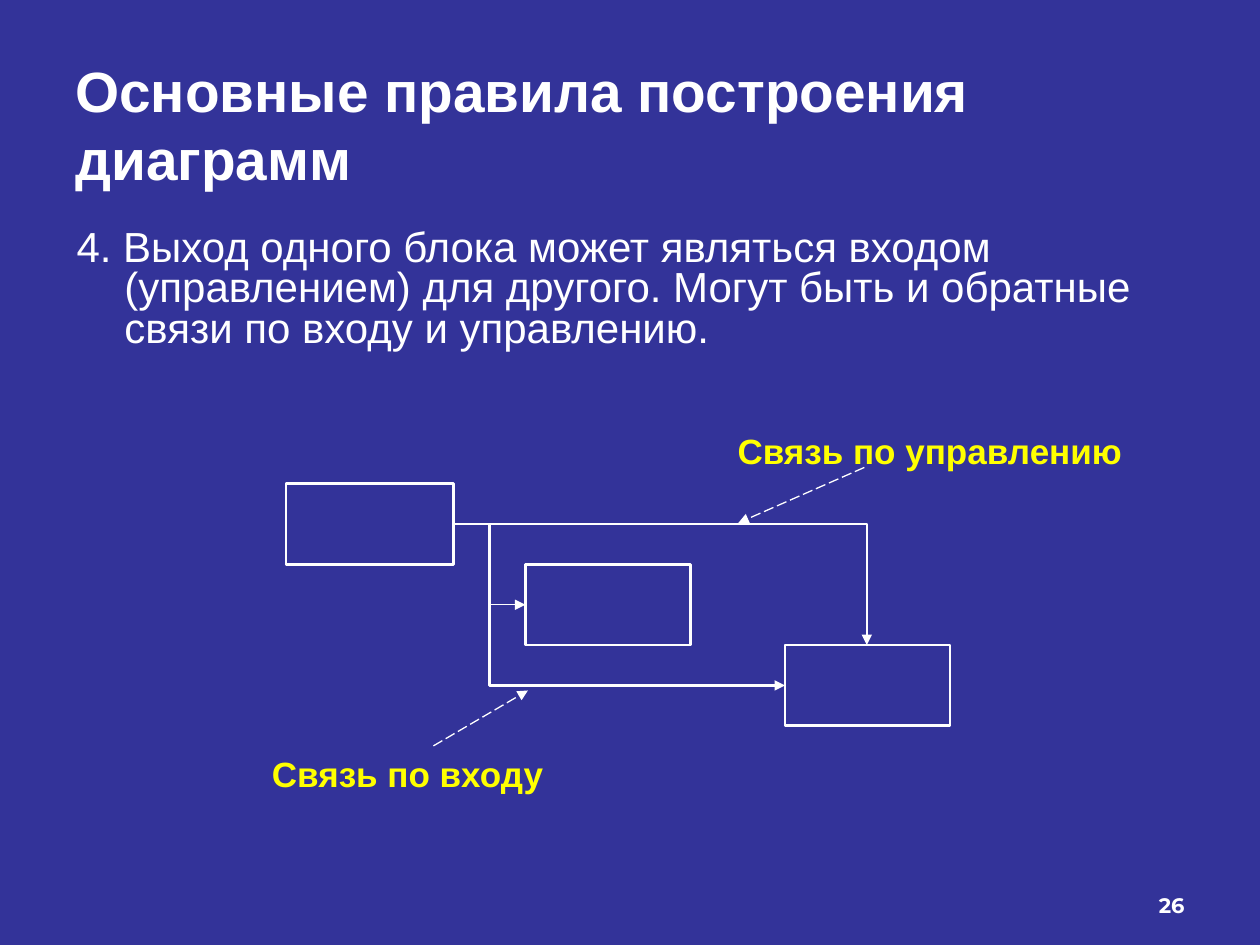
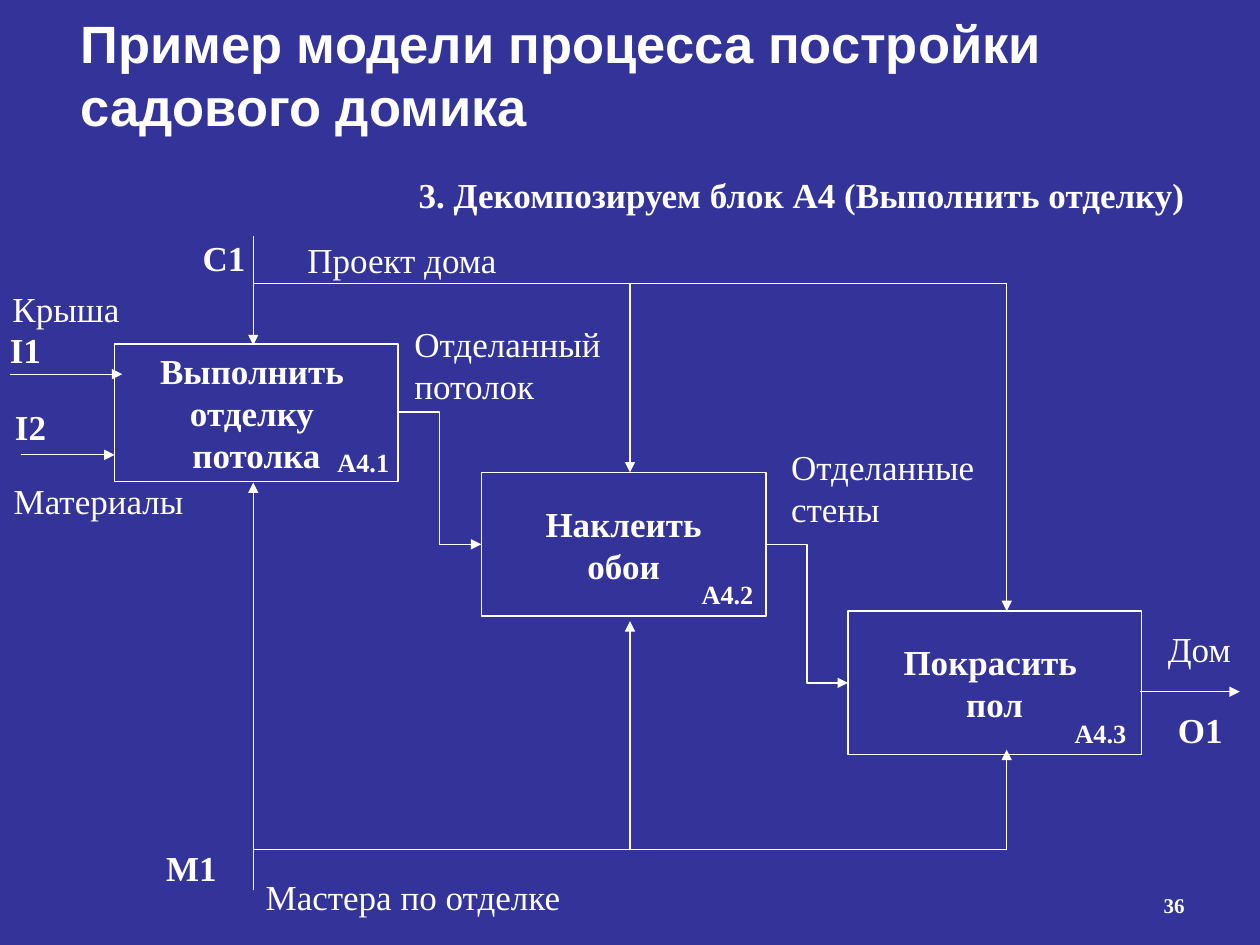
from lxml.etree import SubElement
from pptx import Presentation
from pptx.dml.color import RGBColor
from pptx.enum.dml import MSO_LINE
from pptx.enum.shapes import MSO_CONNECTOR, MSO_SHAPE
from pptx.enum.text import MSO_ANCHOR, PP_ALIGN
from pptx.oxml.ns import qn
from pptx.util import Inches, Pt

COLUMNS, ROWS = 100, 75
BACKGROUND, WHITE, YELLOW = "333399", "FFFFFF", "FFFF00"
SANS, SERIF, NUMBER_FONT = "Arial", "Times New Roman", "Montserrat"


def color(value):
    return RGBColor.from_string(value)


class Deck:
    def __init__(self):
        self.presentation = Presentation()
        self.presentation.slide_width = Inches(10)
        self.presentation.slide_height = Inches(7.5)
        self.column = self.presentation.slide_width / COLUMNS
        self.row = self.presentation.slide_height / ROWS
        self.slide = None
        self.font = SANS

    def place(self, left, top, width, height):
        return (round(left * self.column), round(top * self.row),
                round(width * self.column), round(height * self.row))

    def add_slide(self, font):
        self.font = font
        self.slide = self.presentation.slides.add_slide(self.presentation.slide_layouts[6])
        self.slide.background.fill.solid()
        self.slide.background.fill.fore_color.rgb = color(BACKGROUND)

    def set_text(self, shape, text, size, bold, tint=WHITE, font=None, align=PP_ALIGN.LEFT,
                 anchor=MSO_ANCHOR.TOP, wrap=True, spacing=None):
        frame = shape.text_frame
        frame.word_wrap = wrap
        frame.vertical_anchor = anchor
        frame.text = text
        for paragraph in frame.paragraphs:
            paragraph.alignment = align
            paragraph.line_spacing = spacing
            paragraph.font.name = font or self.font
            paragraph.font.size = Pt(size)
            paragraph.font.bold = bold
            paragraph.font.color.rgb = color(tint)

    def text(self, area, text, size=20, bold=False, **style):
        shape = self.slide.shapes.add_textbox(*self.place(*area))
        self.set_text(shape, text, size, bold, **style)
        return shape

    def title(self, area, text, size):
        self.text(area, text, size, True, font=SANS, anchor=MSO_ANCHOR.MIDDLE)

    def number(self, value, font):
        self.text((71.7, 68.3, 23.3, 5), value, 12, True, font=font,
                  align=PP_ALIGN.RIGHT, anchor=MSO_ANCHOR.BOTTOM)

    def hanging_text(self, area, text, size, indent):
        shape = self.text(area, text, size, spacing=0.8)
        properties = shape.text_frame.paragraphs[0]._p.get_or_add_pPr()
        properties.set("marL", str(round(indent * self.column)))
        properties.set("indent", str(round(-indent * self.column)))

    def box(self, area, width, text=""):
        shape = self.slide.shapes.add_shape(MSO_SHAPE.RECTANGLE, *self.place(*area))
        shape.shadow.inherit = False
        shape.fill.background()
        shape.line.color.rgb = color(WHITE)
        shape.line.width = Pt(width)
        if text:
            self.set_text(shape, text, 20, True, align=PP_ALIGN.CENTER,
                          anchor=MSO_ANCHOR.MIDDLE, wrap=False)

    def line(self, start, end, width=0.75, kind=MSO_CONNECTOR.STRAIGHT, arrow=True, dashed=False):
        connector = self.slide.shapes.add_connector(kind, *self.place(*start, *end))
        connector.line.color.rgb = color(WHITE)
        connector.line.width = Pt(width)
        if dashed:
            connector.line.dash_style = MSO_LINE.LONG_DASH
        properties = connector.element.spPr
        if arrow:
            SubElement(properties.find(qn("a:ln")), qn("a:tailEnd"), type="triangle")
        SubElement(properties, qn("a:effectLst"))
        return connector

    def elbow(self, start, end, width=0.75, bend=0.5):
        connector = self.line(start, end, width, MSO_CONNECTOR.ELBOW)
        geometry = connector.element.spPr.find(qn("a:prstGeom"))
        if bend == 1:
            geometry.set("prst", "bentConnector2")
        else:
            guides = geometry.find(qn("a:avLst"))
            SubElement(guides, qn("a:gd"), name="adj1", fmla=f"val {round(bend * 100000)}")


def build_rules(deck):
    deck.add_slide(SANS)
    deck.title((5, 5, 90, 9.7), "Основные правила построения диаграмм", 32.4)
    deck.hanging_text((5.1, 17.8, 90, 11),
                      "4. Выход одного блока может являться входом (управлением) для другого. "
                      "Могут быть и обратные связи по входу и управлению.", 24, 3.8)
    for left, top, width in [(22.7, 38.4, 13.3), (41.7, 44.8, 13.1), (62.3, 51.2, 13.1)]:
        deck.box((left, top, width, 6.4), 1.5)
    output = (36.1, 41.6)
    deck.elbow(output, (41.7, 48))
    deck.elbow(output, (62.3, 54.4), 1.5, 0.105)
    deck.elbow(output, (68.8, 51.2), 1.5, 1)
    for area, label in [((20.5, 59.2, 23.7, 4.4), "Связь по входу"),
                        ((57.4, 33.6, 32.8, 4.4), "Связь по управлению")]:
        deck.text(area, label, bold=True, tint=YELLOW, align=PP_ALIGN.CENTER, wrap=False)
    deck.line((34.4, 59.2), (41.9, 54.8), dashed=True)
    deck.line((68.6, 37.1), (58.6, 41.5), dashed=True)
    deck.number("26", NUMBER_FONT)


def build_house_model(deck):
    deck.add_slide(SERIF)
    deck.title((5.4, 0.3, 93, 11.2), "Пример модели процесса постройки садового домика", 30)
    deck.text((5, 13.9, 90, 4.2), "3. Декомпозируем блок А4 (Выполнить отделку)",
              bold=True, align=PP_ALIGN.RIGHT, spacing=0.8)

    blocks = [
        ((9.1, 27.3, 22.5, 10.9), "Выполнить \nотделку \nпотолка", "А4.1", (25.8, 34.9)),
        ((38.2, 37.5, 22.6, 11.4), "Наклеить\nобои", "А4.2", (54.7, 45.4)),
        ((67.3, 48.5, 23.3, 11.4), "Покрасить \nпол", "А4.3", (84.3, 56.4)),
    ]
    for area, name, code, corner in blocks:
        deck.box(area, 0.75, name)
        deck.text((*corner, 8, 3.5), code, 15, True)

    codes = [("I1", -0.2, 25.6), ("I2", 0.2, 31.7), ("С1", 15.1, 18.3),
             ("М1", 12.2, 66.7), ("О1", 92.5, 55.7)]
    for code, left, top in codes:
        deck.text((left, top, 7.4, 4.4), code, bold=True)

    labels = [("Крыша", 0, 22.3, 15.1), ("Материалы", 0.1, 37.6, 18.5),
              ("Проект дома", 23.4, 18.4, 25.9), ("Мастера по отделке", 20.1, 69, 29.1),
              ("Дом", 91.7, 49.3, 9.1), ("Отделанный потолок", 31.9, 25.1, 19.4),
              ("Отделанные стены", 61.8, 34.9, 18.9)]
    for label, left, top, width in labels:
        deck.text((left, top, width, 4.4), label)

    deck.line((0.8, 29.7), (9.7, 29.7))
    deck.line((1.7, 36.1), (9.1, 36.1))
    deck.line((90.5, 54.9), (98.4, 54.9))

    first, second, third = 20.1, 50, 79.9
    control, mechanism = 22.5, 67.4
    for level in (control, mechanism):
        deck.line((first, level), (third, level), arrow=False)
    arrows = [(first, 18.7, 27.4), (second, control, 37.5), (third, control, 48.5),
              (first, 70.6, 38.3), (second, mechanism, 49.3), (third, mechanism, 59.5)]
    for column, start, end in arrows:
        deck.line((column, start), (column, end))
    deck.elbow((31.6, 32.7), (38.2, 43.2))
    deck.elbow((60.8, 43.2), (67.3, 54.2))
    deck.number("36", SERIF)


def main():
    deck = Deck()
    build_rules(deck)
    build_house_model(deck)
    deck.presentation.save("out.pptx")


if __name__ == "__main__":
    main()
